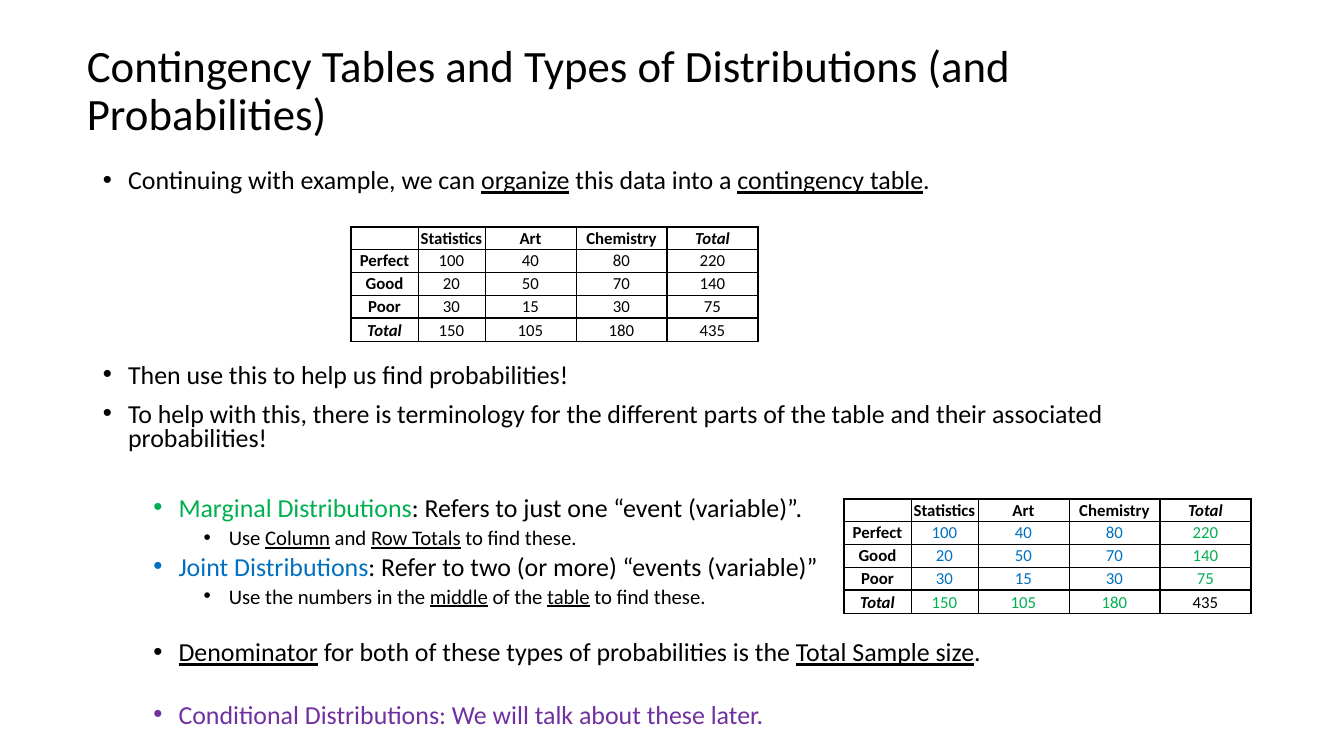
from dataclasses import dataclass
from lxml.etree import SubElement
from pptx import Presentation
from pptx.dml.color import RGBColor
from pptx.enum.text import MSO_ANCHOR as ANCHOR, PP_ALIGN as ALIGN
from pptx.oxml.ns import qn
from pptx.util import Emu, Pt

FONT = "Calibri"
COLORS = {"black": "000000", "marginal": "00B050", "joint": "0070C0",
          "conditional": "7030A0"}


def px(n: int) -> Emu:
    return Emu(round(n * 914400 / 100.8))


@dataclass
class Bullet:
    text: str  # parts between underscores are underlined
    level: int = 0
    before: int = 5
    lead: str = ""  # coloured opening words
    color: str = "black"


@dataclass
class Contingency:
    left: int
    top: int
    joint: str
    marginal: str


TITLE = "Contingency Tables and Types of Distributions (and Probabilities)"

BULLETS = [
    Bullet("Continuing with example, we can _organize_ this data into a "
           "_contingency table_.", before=0),
    Bullet("Then use this to help us find probabilities!", before=121),
    Bullet("To help with this, there is terminology for the different parts of "
           "the table and their associated probabilities!", before=10),
    Bullet(": Refers to just one “event (variable)”.", 1, 32,
           "Marginal Distributions", "marginal"),
    Bullet("Use _Column_ and _Row Totals_ to find these.", 2),
    Bullet(": Refer to two (or more) “events (variable)”", 1,
           lead="Joint Distributions", color="joint"),
    Bullet("Use the numbers in the _middle_ of the _table_ to find these.", 2),
    Bullet("_Denominator_ for both of these types of probabilities is the "
           "_Total Sample size_.", 1, 24),
    Bullet("", 1, 27, "Conditional Distributions: We will talk about these later.",
           "conditional"),
]
LEVEL_SIZES = [18.5, 18.5, 14.8]

GRADES = [
    ["", "Statistics", "Art", "Chemistry", "Total"],
    ["Perfect", "100", "40", "80", "220"],
    ["Good", "20", "50", "70", "140"],
    ["Poor", "30", "15", "30", "75"],
    ["Total", "150", "105", "180", "435"],
]
COL_WIDTHS = [67, 67, 91, 91, 91]
ROW_HEIGHTS = [22, 23, 23, 23, 24]
LAST = len(GRADES) - 1
THICK_EDGES = {0, LAST, LAST + 1}

TABLES = [Contingency(844, 499, "joint", "marginal"),
          Contingency(351, 227, "black", "black")]


def add_run(p, text: str, *, size: float, color: str = "black",
            bold: bool = False, italic: bool = False,
            underline: bool = False) -> None:
    r = p.add_run()
    r.text = text
    f = r.font
    f.name, f.size = FONT, Pt(size)
    f.bold, f.italic, f.underline = bold, italic, underline
    f.color.rgb = RGBColor.from_string(COLORS[color])


def add_box(s, left: int, top: int, width: int, height: int):
    tf = s.shapes.add_textbox(px(left), px(top), px(width), px(height)).text_frame
    tf.word_wrap = True
    return tf


def add_bullet(p, b: Bullet) -> None:
    pPr = p._p.get_or_add_pPr()
    pPr.set("marL", str(Pt(18 + 36 * b.level)))
    pPr.set("indent", str(-Pt(18)))
    SubElement(pPr, qn("a:buFont"), typeface="Arial")
    SubElement(pPr, qn("a:buChar"), char="•")
    p.level = b.level
    p.line_spacing = 0.8
    p.space_before = Pt(b.before)
    size = LEVEL_SIZES[b.level]
    if b.lead:
        add_run(p, b.lead, size=size, color=b.color)
    for i, part in enumerate(b.text.split("_")):
        if part:
            add_run(p, part, size=size, underline=i % 2 == 1)


def add_borders(cell, row: int, col: int) -> None:
    tcPr = cell._tc.get_or_add_tcPr()
    edges = {"L": col, "R": col + 1, "T": row, "B": row + 1}
    for side, edge in edges.items():
        width = Pt(1 if edge in THICK_EDGES else 0.5)
        ln = SubElement(tcPr, qn(f"a:ln{side}"), w=str(width))
        fill = SubElement(ln, qn("a:solidFill"))
        SubElement(fill, qn("a:srgbClr"), val=COLORS["black"])


def cell_color(t: Contingency, row: int, col: int) -> str:
    totals = (row == LAST) + (col == LAST)
    if 0 in (row, col) or totals == 2:
        return "black"
    return t.marginal if totals else t.joint


def add_contingency(s, t: Contingency) -> None:
    table = s.shapes.add_table(
        len(GRADES), len(COL_WIDTHS), px(t.left), px(t.top),
        px(sum(COL_WIDTHS)), px(sum(ROW_HEIGHTS))).table
    table.first_row = table.horz_banding = False
    for column, width in zip(table.columns, COL_WIDTHS):
        column.width = px(width)
    for row, height in zip(table.rows, ROW_HEIGHTS):
        row.height = px(height)
    for i, values in enumerate(GRADES):
        for j, value in enumerate(values):
            cell = table.cell(i, j)
            cell.margin_left = cell.margin_right = cell.margin_top = px(1)
            cell.margin_bottom = 0
            cell.vertical_anchor = ANCHOR.MIDDLE
            add_borders(cell, i, j)
            cell.fill.background()
            p = cell.text_frame.paragraphs[0]
            p.alignment = ALIGN.CENTER
            if value:
                add_run(p, value, size=12, color=cell_color(t, i, j),
                        bold=0 in (i, j), italic=value == "Total")
            else:
                SubElement(p._p, qn("a:endParaRPr"), sz="1200")


def main() -> None:
    prs = Presentation()
    prs.slide_width, prs.slide_height = px(1344), px(756)
    s = prs.slides.add_slide(prs.slide_layouts[6])

    # Title
    tf = add_box(s, 77, 19, 1190, 146)
    tf.vertical_anchor = ANCHOR.MIDDLE
    p = tf.paragraphs[0]
    p.line_spacing = 0.9
    add_run(p, TITLE, size=32)

    # Bulleted body
    tf = add_box(s, 93, 165, 1159, 591)
    for i, b in enumerate(BULLETS):
        add_bullet(tf.add_paragraph() if i else tf.paragraphs[0], b)

    # Contingency tables
    for t in TABLES:
        add_contingency(s, t)

    prs.save("out.pptx")


if __name__ == "__main__":
    main()
